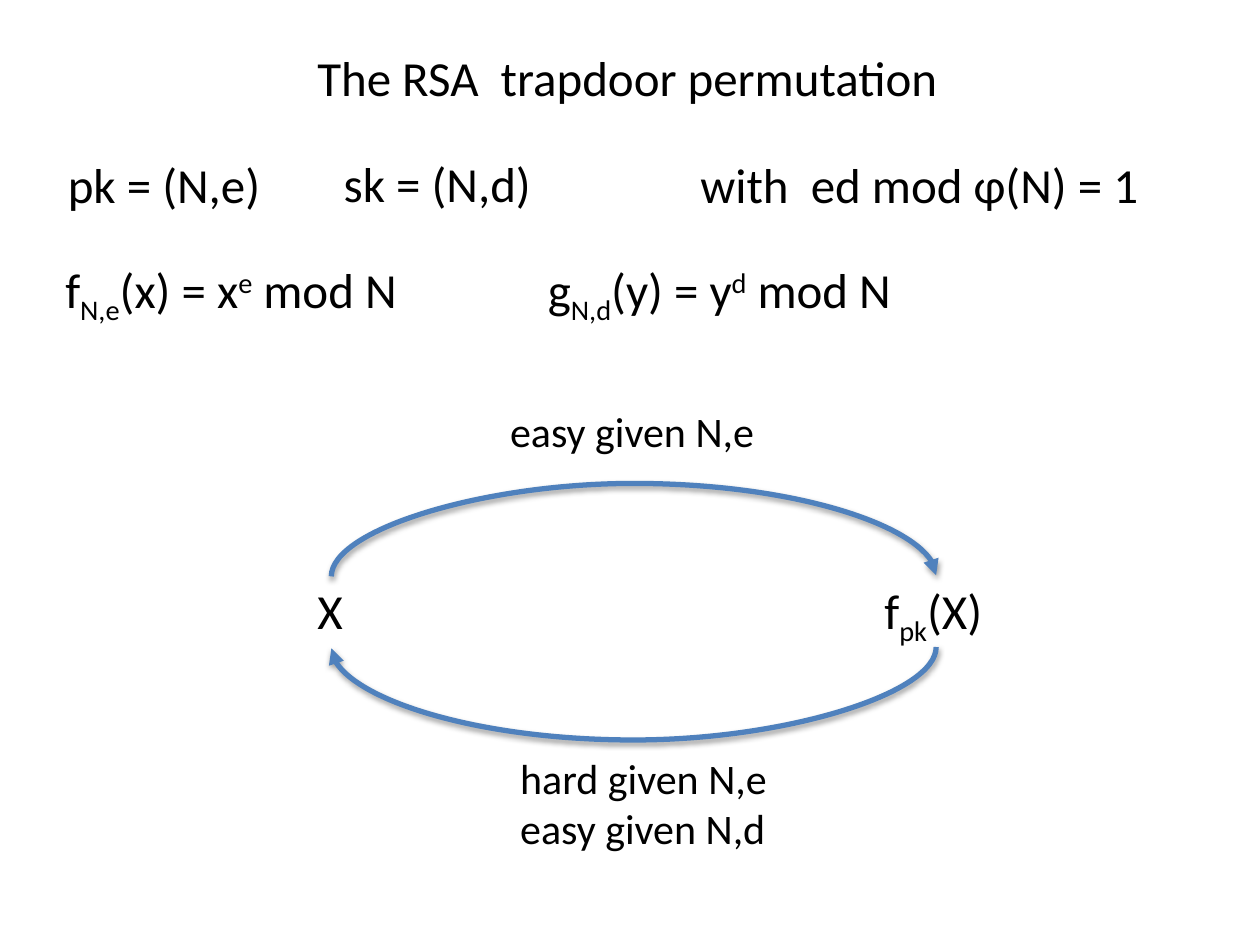
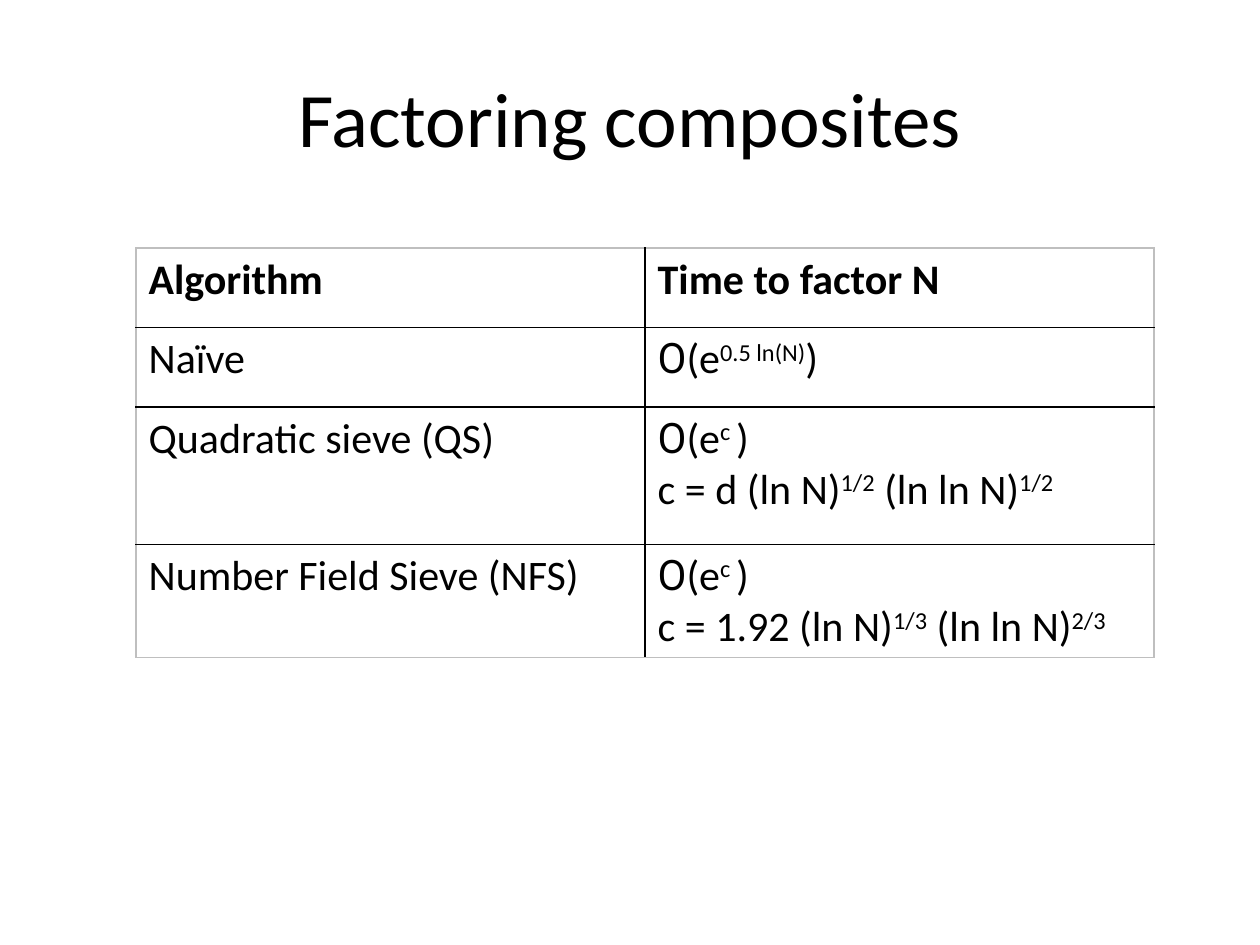
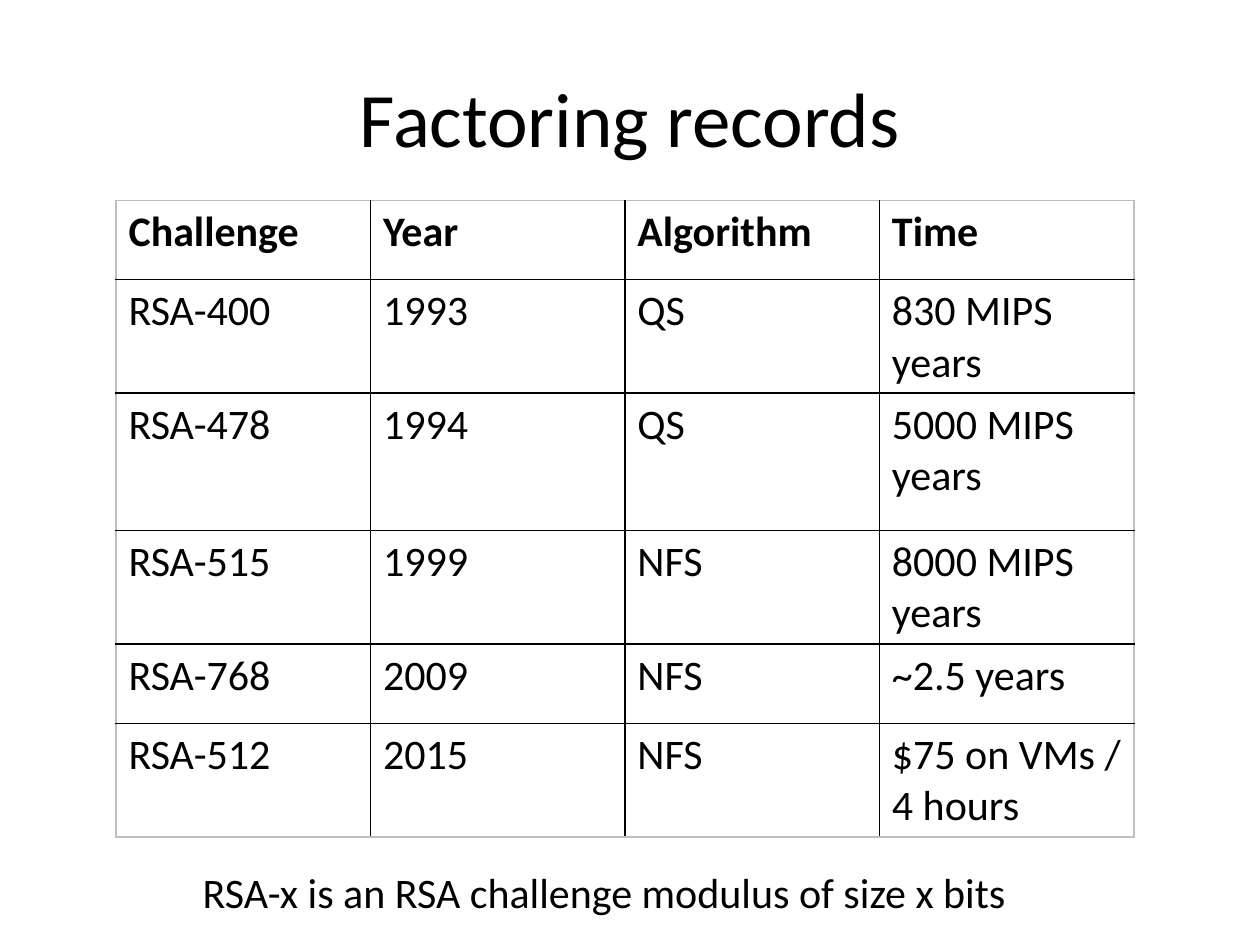
from lxml import etree
from pptx import Presentation
from pptx import util as u
from pptx.dml.color import RGBColor
from pptx.enum import shapes, text
from pptx.oxml import ns

BLACK = RGBColor(0x00, 0x00, 0x00)
BLUE = RGBColor(0x4F, 0x81, 0xBD)
GREY = RGBColor(0xBF, 0xBF, 0xBF)
FONT, SYMBOL_FONT = "Calibri", "Roboto"
TITLE_SIZE, FORMULA_SIZE, BODY_SIZE = 44, 28, 24
SUB, SUP, SYMBOL = "sub", "sup", "symbol"
BASELINES = {SUB: "-25000", SUP: "30000"}
WIDTH, HEIGHT = 10, 7.5

# A text is a list of paragraphs; a paragraph is a list of plain strings
# and (string, style) pairs.
BIG_O = ("O", SYMBOL)
SUBEXPONENTIAL = [BIG_O, "(e", ("c ", SUP), ")"]

# (left, top, width, height, size, paragraphs)
RSA_TEXTS = [
    (2.42, 4.56, 0.41, 0.57, FORMULA_SIZE, [["X"]]),
    (6.92, 4.56, 1.02, 0.57, FORMULA_SIZE, [["f", ("pk", SUB), "(X)"]]),
    (3.95, 3.17, 2.17, 0.5, BODY_SIZE, [["easy given N,e"]]),
    (4.03, 5.92, 2.18, 0.91, BODY_SIZE, [["hard given N,e"], ["easy given N,d"]]),
    (2.42, 0.33, 5.2, 0.57, FORMULA_SIZE, [["The RSA  trapdoor permutation"]]),
    (0.44, 1.18, 1.74, 0.57, FORMULA_SIZE, [["pk = (N,e)"]]),
    (2.63, 1.17, 1.7, 0.57, FORMULA_SIZE, [["sk = (N,d)"]]),
    (5.46, 1.18, 3.71, 0.57, FORMULA_SIZE, [["with  ed mod φ(N) = 1"]]),
    (0.42, 2.01, 2.93, 0.57, FORMULA_SIZE,
     [["f", ("N,e", SUB), "(x) = x", ("e", SUP), " mod N"]]),
    (4.25, 2.01, 3.02, 0.57, FORMULA_SIZE,
     [["g", ("N,d", SUB), "(y) = y", ("d", SUP), " mod N"]]),
]
# Arcs between X and f(X): (start x, end x, y, bulge)
ARCS = [(2.63, 7.43, 4.57, 0.75), (7.43, 2.63, 5.14, 0.75)]

ALGORITHMS = [
    ["Algorithm", "Time to factor N"],
    ["Naïve", [[BIG_O, "(e", ("0.5 ln(N)", SUP), ")"]]],
    ["Quadratic sieve (QS)",
     [SUBEXPONENTIAL, ["c = d (ln N)", ("1/2", SUP), " (ln ln N)", ("1/2", SUP)]]],
    ["Number Field Sieve (NFS)",
     [SUBEXPONENTIAL, ["c = 1.92 (ln N)", ("1/3", SUP), " (ln ln N)", ("2/3", SUP)]]],
]
RECORDS = [
    ["Challenge", "Year", "Algorithm", "Time"],
    ["RSA-400", "1993", "QS", "830 MIPS years"],
    ["RSA-478", "1994", "QS", "5000 MIPS years"],
    ["RSA-515", "1999", "NFS", "8000 MIPS years"],
    ["RSA-768", "2009", "NFS", "~2.5 years"],
    ["RSA-512", "2015", "NFS", "$75 on VMs / 4 hours"],
]
RECORDS_NOTE = [["RSA-x is an RSA challenge modulus of size x bits"]]
TABLE_WIDTH, ROW_HEIGHT, TALL_ROW_HEIGHT, TALL_ROW = 8.08, 0.63, 1.09, 2


def write(frame, paragraphs, size, bold=False, align=None):
    for index, pieces in enumerate(paragraphs):
        paragraph = frame.add_paragraph() if index else frame.paragraphs[0]
        paragraph.alignment = align
        for piece in pieces:
            content, style = (piece, None) if isinstance(piece, str) else piece
            run = paragraph.add_run()
            run.text = content
            run.font.name = SYMBOL_FONT if style == SYMBOL else FONT
            run.font.size = u.Pt(size)
            run.font.bold = bold
            run.font.color.rgb = BLACK
            if style in BASELINES:
                run._r.get_or_add_rPr().set("baseline", BASELINES[style])


def add_text(slide, left, top, width, height, size, paragraphs):
    box = slide.shapes.add_textbox(*map(u.Inches, (left, top, width, height)))
    box.text_frame.word_wrap = False
    box.text_frame.auto_size = text.MSO_AUTO_SIZE.SHAPE_TO_FIT_TEXT
    write(box.text_frame, paragraphs, size)


def add_title(slide, title):
    margin = WIDTH * 0.05
    box = slide.shapes.add_textbox(
        *map(u.Inches, (margin, HEIGHT * 0.04, WIDTH - 2 * margin, HEIGHT / 6)))
    box.text_frame.word_wrap = True
    box.text_frame.vertical_anchor = text.MSO_ANCHOR.MIDDLE
    write(box.text_frame, [[title]], TITLE_SIZE, align=text.PP_ALIGN.CENTER)


def add_element(parent, tag, **attributes):
    return etree.SubElement(parent, ns.qn(tag), attributes)


def add_arc(slide, start, end, y, bulge):
    """Draw a curved arrow as a thin upright connector turned by 90 degrees."""
    middle, half, thin = (start + end) / 2, (start - end) / 2, 0.01
    side = thin / 2 if start > end else -thin / 2
    connector = slide.shapes.add_connector(
        shapes.MSO_CONNECTOR.CURVE,
        *map(u.Inches, (middle - side, y - half, middle + side, y + half)))
    connector.line.color.rgb = BLUE
    connector.line.width = u.Pt(3)
    add_element(connector.line._get_or_add_ln(), "a:tailEnd", type="triangle")
    properties = connector._element.spPr
    properties.find(ns.qn("a:xfrm")).set("rot", "5400000")
    guides = properties.find(ns.qn("a:prstGeom")).get_or_add_avLst()
    add_element(guides, "a:gd", name="adj1", fmla=f"val {round(bulge / thin * 100000)}")
    shadow = add_element(add_element(properties, "a:effectLst"), "a:outerShdw",
                         blurRad="40000", dist="20000", dir="5400000", rotWithShape="0")
    color = add_element(shadow, "a:srgbClr", val=str(BLACK))
    add_element(color, "a:alpha", val="38000")


def set_borders(cell, edges):
    """Give each side a line: grey on the table's edge, black inside."""
    properties = cell._tc.get_or_add_tcPr()
    for index, (side, on_edge) in enumerate(edges.items()):
        line = etree.Element(ns.qn(f"a:{side}"), w=str(u.Pt(1)))
        fill = add_element(line, "a:solidFill")
        add_element(fill, "a:srgbClr", val=str(GREY if on_edge else BLACK))
        properties.insert(index, line)


def add_grid(slide, left, top, rows):
    last_row, last_column = len(rows) - 1, len(rows[0]) - 1
    heights = [TALL_ROW_HEIGHT if index == TALL_ROW else ROW_HEIGHT
               for index in range(len(rows))]
    table = slide.shapes.add_table(
        len(rows), len(rows[0]),
        *map(u.Inches, (left, top, TABLE_WIDTH, sum(heights)))).table
    table.first_row = table.horz_banding = False
    for r, row in enumerate(rows):
        table.rows[r].height = u.Inches(heights[r])
        for c, content in enumerate(row):
            cell = table.cell(r, c)
            paragraphs = [[content]] if isinstance(content, str) else content
            write(cell.text_frame, paragraphs, BODY_SIZE, bold=r == 0)
            cell.fill.background()
            set_borders(cell, {"lnL": c == 0, "lnR": c == last_column,
                               "lnT": r == 0, "lnB": r == last_row})


def main():
    presentation = Presentation()
    presentation.slide_width = u.Inches(WIDTH)
    presentation.slide_height = u.Inches(HEIGHT)
    blank = presentation.slide_layouts[6]
    rsa, composites, records = (presentation.slides.add_slide(blank) for _ in range(3))

    for arc in ARCS:
        add_arc(rsa, *arc)
    for item in RSA_TEXTS:
        add_text(rsa, *item)

    add_title(composites, "Factoring composites")
    add_grid(composites, 1.08, 1.97, ALGORITHMS)

    add_title(records, "Factoring records")
    add_grid(records, 0.92, 1.59, RECORDS)
    add_text(records, 1.51, 6.83, 6.91, 0.5, BODY_SIZE, RECORDS_NOTE)

    presentation.save("out.pptx")


if __name__ == "__main__":
    main()
